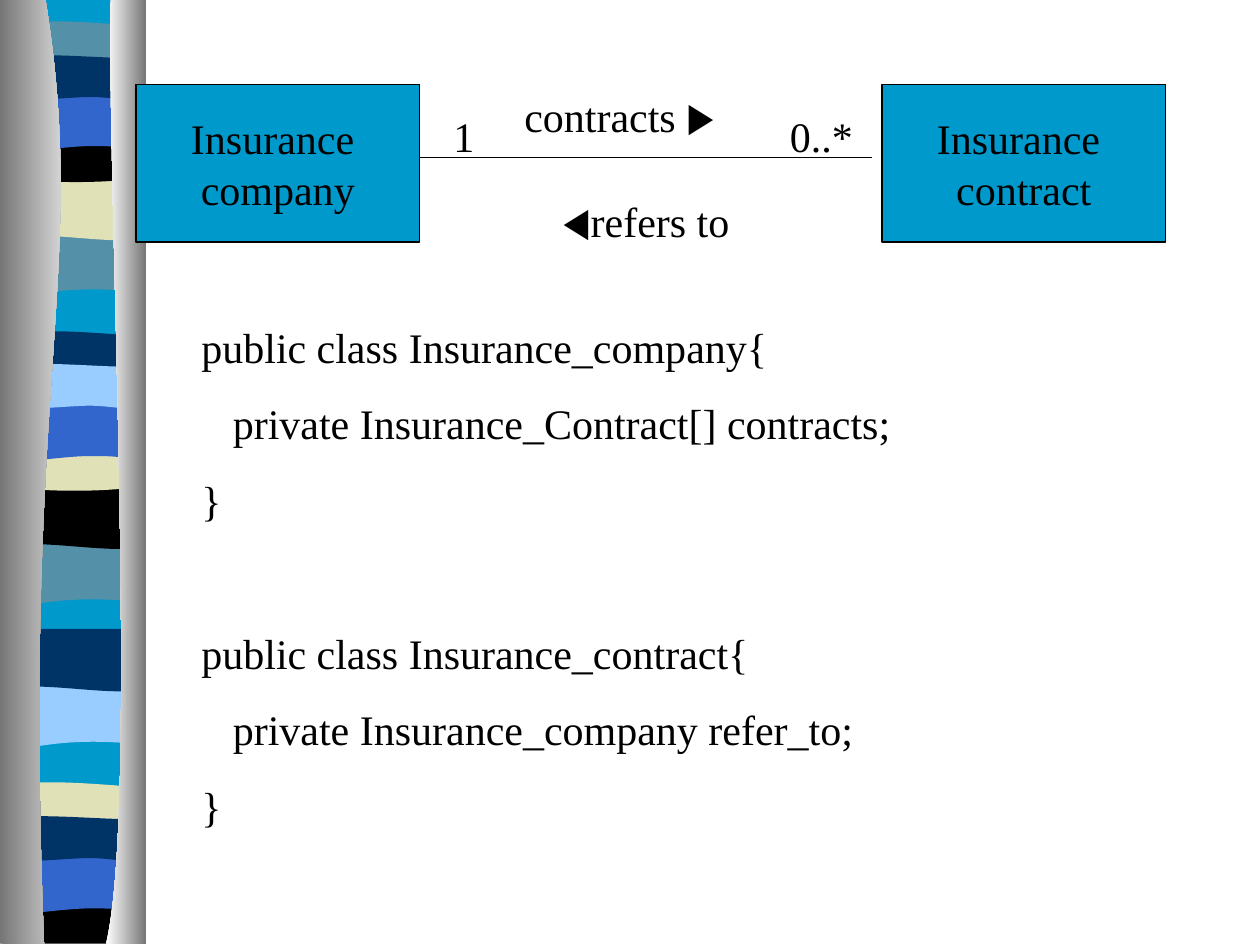
from lxml import etree
from pptx import Presentation, util as u
from pptx.dml.color import RGBColor
from pptx.enum import shapes, text
from pptx.oxml import ns

WIDE = 1.08
BANDS = {
    "wave": [(WIDE, 0), (WIDE, 0.47), (0.33, 0.39, 0.18, 0.55, 0, 0.47), (0, 0)],
    "crest": [(WIDE, 0), (WIDE, 0.47), (0.9, 0.55, 0.33, 0.42, 0, 0.47), (0, 0)],
    "strip": [(WIDE, 0.05), (WIDE, 0.29), (0.9, 0.33, 0.18, 0.33, 0, 0.29), (0, 0.05),
              (0.06, 0, 0.23, 0.01, 0.41, 0.01), (0.59, 0.01, 0.94, 0.04, WIDE, 0.05)],
    "dip": [(WIDE, 0), (WIDE, 0.32), (0.9, 0.38, 0.18, 0.38, 0, 0.32), (0, 0),
            (0.66, 0.05, 0.85, 0, WIDE, 0)],
    "arch": [(WIDE, 0), (WIDE, 0.47), (0.91, 0.42, 0.84, 0.42, 0.66, 0.42),
             (0.48, 0.42, 0.16, 0.47, 0, 0.47), (0, 0)],
    "swell": [(WIDE, 0.05), (WIDE, 0.36), (1.01, 0.41, 0.84, 0.36, 0.66, 0.36),
              (0.48, 0.36, 0.11, 0.41, 0, 0.36), (0, 0.05),
              (0.15, 0, 0.73, 0.05, 0.91, 0.05), (1.1, 0.05, 1.04, 0.05, WIDE, 0.05)],
    "foot": [(WIDE, 0), (WIDE, 0.37), (0, 0.37), (0, 0), (0.66, 0.05, 0.85, 0, WIDE, 0)],
    "base": [(WIDE, 0), (WIDE, 7.48), (0, 7.48), (0, 0)],
}
STACK = [
    ("base", 0.06, -0.01, "0099CC"),
    ("wave", 0.06, 1.85, "5490A8"), ("crest", 0.06, 1.41, "E1E1B7"),
    ("strip", 0.06, 0.16, "5490A8"), ("dip", 0.06, 1.08, "000000"),
    ("arch", 0.06, 0.74, "3366CC"), ("swell", 0.06, 0.41, "003366"),
    ("wave", 0.05, 4.31, "5490A8"), ("crest", 0.05, 3.86, "000000"),
    ("strip", 0.05, 2.62, "003366"), ("dip", 0.05, 3.53, "E1E1B7"),
    ("arch", 0.05, 3.2, "3366CC"), ("swell", 0.05, 2.86, "99CCFF"),
    ("wave", 0.06, 5.44, "99CCFF"), ("crest", 0.06, 4.99, "003366"),
    ("strip", 0.05, 6.2, "E1E1B7"), ("foot", 0.05, 7.12, "000000"),
    ("arch", 0.05, 6.79, "3366CC"), ("swell", 0.05, 6.45, "003366"),
]
LEFT = [(0.36, -0.01), (0.71, 2.16, 0.17, 2.96, 0.35, 7.49), (0, 7.49), (0, -0.01)]
RIGHT = [(0.88, -0.01), (0.84, 1.25, 1.11, 6.46, 0.84, 7.49), (1.16, 7.49), (1.16, 0)]
CODE = [
    ("public class Insurance_company{", 0, 15),
    ("private Insurance_Contract[] contracts;", 0.25, 15),
    ("}", 0, 15),
    ("public class Insurance_contract{", 0, 58.5),
    ("private Insurance_company refer_to;", 0.25, 15),
    ("}", 0, 15),
]


def tint(code):
    return RGBColor.from_string(code)


def bend(shape, steps):
    """Turn each run of three straight legs into one curve."""
    legs = iter(list(shape._element.iter(ns.qn("a:lnTo"))))
    for step in steps[1:]:
        leg = next(legs)
        if len(step) == 6:
            leg.tag = ns.qn("a:cubicBezTo")
            for _ in range(2):
                extra = next(legs)
                leg.append(extra[0])
                extra.getparent().remove(extra)


class Page:
    """Holds the text style and the slide being filled."""

    def __init__(self, slide, face="Times New Roman", size=24, ink="000000"):
        self.slide, self.face, self.size, self.ink = slide, face, size, ink

    def form(self, steps, x=0, y=0):
        dots = [(u.Inches(x + step[i]), u.Inches(y + step[i + 1]))
                for step in steps for i in range(0, len(step), 2)]
        pen = self.slide.shapes.build_freeform(*dots[0])
        pen.add_line_segments(dots[1:], close=False)
        shape = pen.convert_to_shape()
        bend(shape, steps)
        for track in shape._element.iter(ns.qn("a:path")):
            etree.SubElement(track, ns.qn("a:close"))
        shape.shadow.inherit = False
        shape.line.fill.background()
        return shape

    def band(self, kind, x, y, color):
        shape = self.form(BANDS[kind], x, y)
        shape.fill.solid()
        shape.fill.fore_color.rgb = tint(color)

    def edge(self, steps, *colors):
        fill = self.form(steps).fill
        fill.gradient()
        fill.gradient_angle = 0
        for stop, place, color in zip(fill.gradient_stops, (0, 1), colors):
            stop.position = place
            stop.color.rgb = tint(color)

    def style(self, para, align=text.PP_ALIGN.LEFT, above=0):
        para.alignment = align
        para.space_before = u.Pt(above)
        para.font.name, para.font.size = self.face, u.Pt(self.size)
        para.font.color.rgb = tint(self.ink)

    def box(self, x, lines):
        shape = self.slide.shapes.add_shape(
            shapes.MSO_SHAPE.RECTANGLE, u.Inches(x), u.Inches(0.67), u.Inches(2.25), u.Inches(1.25))
        shape.shadow.inherit = False
        shape.fill.solid()
        shape.fill.fore_color.rgb = tint("0099CC")
        shape.line.color.rgb = tint(self.ink)
        shape.line.width = u.Pt(0.75)
        frame = shape.text_frame
        frame.word_wrap = False
        frame.vertical_anchor = text.MSO_ANCHOR.MIDDLE
        for i, line in enumerate(lines):
            para = frame.add_paragraph() if i else frame.paragraphs[0]
            para.text = line
            self.style(para, text.PP_ALIGN.CENTER)

    def link(self, start, end):
        line = self.slide.shapes.add_connector(
            shapes.MSO_CONNECTOR.STRAIGHT, *map(u.Inches, start + end))
        line.line.color.rgb = tint(self.ink)
        line.line.width = u.Pt(0.75)
        etree.SubElement(line._element.spPr, ns.qn("a:effectLst"))

    def frame(self, x, y, wide, high, wrap=True):
        frame = self.slide.shapes.add_textbox(*map(u.Inches, (x, y, wide, high))).text_frame
        frame.word_wrap = wrap
        return frame

    def label(self, x, y, wide, parts, align=text.PP_ALIGN.LEFT, above=15, wrap=True):
        para = self.frame(x, y, wide, 0.5, wrap).paragraphs[0]
        self.style(para, align, above)
        for part in parts:
            run = para.add_run()
            run.text = part
            if part in "▶◀":
                run.font.name = "Arial"

    def code(self, x, y, wide, high, lines):
        frame = self.frame(x, y, wide, high)
        for i, (line, inset, above) in enumerate(lines):
            para = frame.add_paragraph() if i else frame.paragraphs[0]
            para.text = line
            self.style(para, above=above)
            para._p.get_or_add_pPr().set("marL", str(u.Inches(inset)))


def main():
    deck = Presentation()
    deck.slide_width, deck.slide_height = u.Inches(10), u.Inches(7.5)
    page = Page(deck.slides.add_slide(deck.slide_layouts[6]))
    for band in STACK:
        page.band(*band)
    page.edge(LEFT, "767676", "FFFFFF")
    page.edge(RIGHT, "FFFFFF", "767676")
    page.box(1.08, ["Insurance ", "company"])
    page.box(7, ["Insurance ", "contract"])
    page.link((3.33, 1.25), (6.92, 1.25))
    page.label(4, 0.67, 1.83, ["contracts ", "▶"], text.PP_ALIGN.CENTER)
    page.label(4.37, 1.5, 1.56, ["◀", "refers to"], above=0, wrap=False)
    page.label(3.5, 0.83, 1.08, ["1"])
    page.label(6.17, 0.83, 1.08, ["0..*"])
    page.code(1.5, 2.5, 7.67, 4.15, CODE)
    deck.save("out.pptx")


if __name__ == "__main__":
    main()
